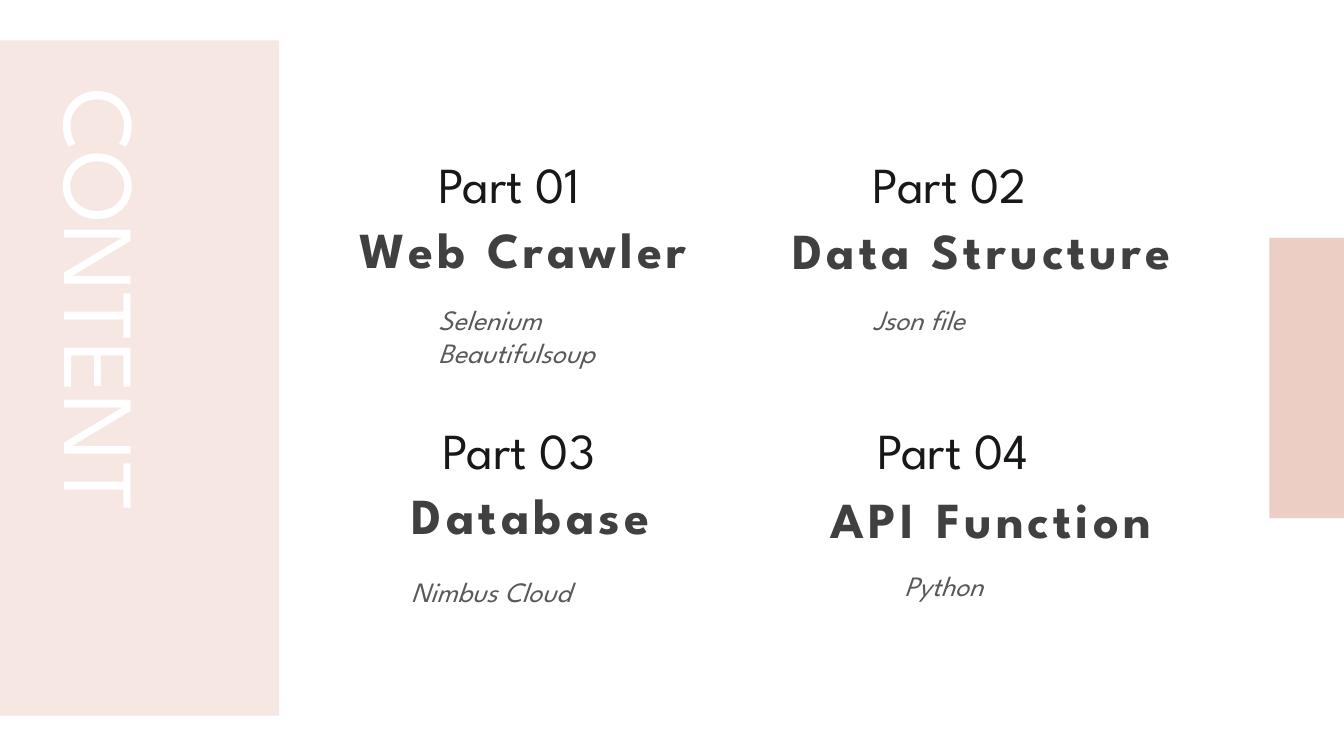
from pptx import Presentation
from pptx.dml.color import RGBColor
from pptx.enum.shapes import MSO_SHAPE
from pptx.enum.text import MSO_AUTO_SIZE, PP_ALIGN
from pptx.util import Inches, Pt

RECTANGLE = MSO_SHAPE.RECTANGLE
FIT_SHAPE = MSO_AUTO_SIZE.SHAPE_TO_FIT_TEXT
LEFT, CENTER = PP_ALIGN.LEFT, PP_ALIGN.CENTER

FONT = "League Spartan"
COLORS = {
    "blush": "F6E7E2",
    "rose": "ECCEC4",
    "label": "171919",
    "title": "404040",
    "detail": "595959",
    "white": "FFFFFF",
}
WIDTH, HEIGHT = 13.33, 7.5
PANELS = [
    ("blush", 0, 0.4, 2.77, 6.7),
    ("rose", 12.59, 2.36, 0.74, 2.78),
]
HEADING = "CONTENT"
HEADING_BOX = (0.38, 0.78, 1.31, 5.2)

COLUMNS = (4.25, 8.56)
ROWS = (1.47, 4.11)
STYLES = {
    "label": dict(size=36),
    "title": dict(size=36, bold=True, spacing=3, align=CENTER),
    "detail": dict(size=20, italic=True),
}
# Each entry: text, offset from the cell's corner, width, height.
PARTS = [
    {
        "label": ("Part 01", 0, 0, 2.38, 0.71),
        "title": ("Web Crawler", -1.17, 0.64, 4.22, 0.71),
        "detail": ("Selenium Beautifulsoup", 0, 1.48, 2.35, 0.77),
    },
    {
        "label": ("Part 02", 0, 0, 2.62, 0.71),
        "title": ("Data Structure", -1.36, 0.65, 5.07, 0.71),
        "detail": ("Json file", 0, 1.48, 2.35, 0.44),
    },
    {
        "label": ("Part 03", 0.04, 0, 3.52, 0.71),
        "title": ("Database", -1.58, 0.64, 5.19, 0.71),
        "detail": ("Nimbus Cloud", -0.27, 1.54, 2.35, 0.44),
    },
    {
        "label": ("Part 04", 0.04, 0, 3.05, 0.71),
        "title": ("API Function", -0.84, 0.68, 4.22, 0.71),
        "detail": ("Python", 0.31, 1.48, 2.31, 0.44),
    },
]


def add_panel(page, color, *frame):
    panel = page.shapes.add_shape(RECTANGLE, *map(Inches, frame))
    panel.shadow.inherit = False
    panel.fill.solid()
    panel.fill.fore_color.rgb = RGBColor.from_string(COLORS[color])
    panel.line.fill.background()


def add_text(page, text, frame, color, size, bold=False, italic=False,
             spacing=0, align=LEFT, vertical=False):
    box = page.shapes.add_textbox(*map(Inches, frame))
    box.text_frame.word_wrap = True
    if vertical:
        box.text_frame._txBody.bodyPr.set("vert", "vert")
    else:
        box.text_frame.auto_size = FIT_SHAPE
    para = box.text_frame.paragraphs[0]
    para.alignment = align
    span = para.add_run()
    span.text = text
    span.font.name = FONT
    span.font.size = Pt(size)
    span.font.bold = bold
    span.font.italic = italic
    span.font.color.rgb = RGBColor.from_string(COLORS[color])
    if spacing:
        span.font._element.set("spc", str(spacing * 100))


def main():
    deck = Presentation()
    deck.slide_width, deck.slide_height = Inches(WIDTH), Inches(HEIGHT)
    page = deck.slides.add_slide(deck.slide_layouts[6])
    for panel in PANELS:
        add_panel(page, *panel)
    add_text(page, HEADING, HEADING_BOX, "white", 72, vertical=True)
    for index, part in enumerate(PARTS):
        row, column = divmod(index, len(COLUMNS))
        for kind, (text, right, down, width, height) in part.items():
            frame = (COLUMNS[column] + right, ROWS[row] + down, width, height)
            add_text(page, text, frame, kind, **STYLES[kind])
    deck.save("out.pptx")


if __name__ == "__main__":
    main()
